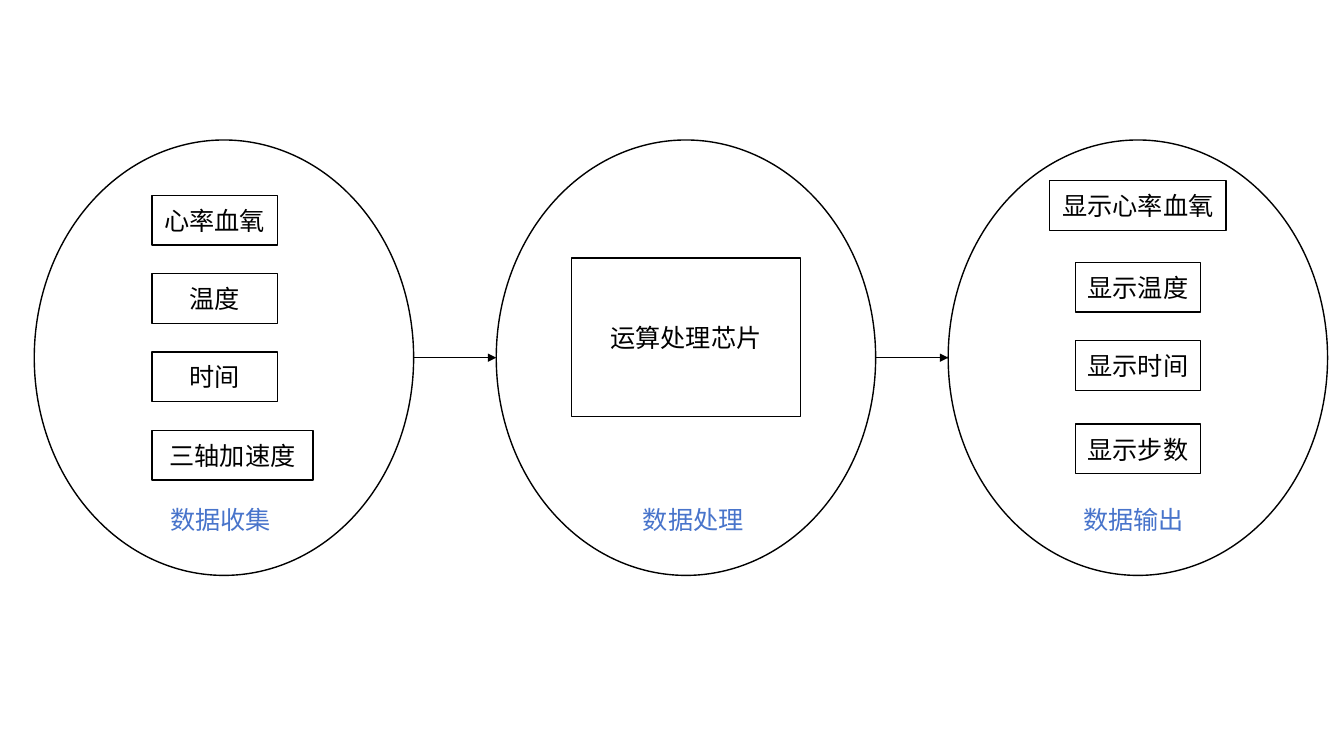
from pptx import Presentation
from pptx.dml.color import RGBColor
from pptx.enum import shapes, text
from pptx.oxml import parse_xml
from pptx.oxml.ns import nsdecls, qn
from pptx.util import Pt

# Content: each stage has its ellipse left, label and label left,
# then boxes as (text, top, width, height); "edge" aligns boxes left
STAGES = [
    dict(left=24.5, label="数据收集", at=114.5, edge=108.7, boxes=[
        ("心率血氧", 139.7, 89.4, 35.5),
        ("温度", 195.6, 89.4, 35.5),
        ("时间", 251.5, 89.4, 35.5),
        ("三轴加速度", 307.4, 114.8, 35.5)]),
    dict(left=354.5, label="数据处理", at=452.2, edge=None, boxes=[
        ("运算处理芯片", 184.3, 163.5, 113.2)]),
    dict(left=677.3, label="数据输出", at=766.6, edge=None, boxes=[
        ("显示心率血氧", 129, 126.2, 35.5),
        ("显示温度", 187.4, 89.4, 35.5),
        ("显示时间", 243.4, 89.4, 35.5),
        ("显示步数", 303, 89.4, 35.5)]),
]
HEX = dict(ink="000000", label="4874CB")
FONT, SIZE = "Calibri", 18
OVAL_TOP, OVAL_W, OVAL_H = 100, 271, 311
LABEL_TOP, LABEL_W, LABEL_H = 357, 94, 29
MID = OVAL_TOP + OVAL_H / 2

deck = Presentation()
deck.slide_width, deck.slide_height = Pt(960), Pt(540)
slide = deck.slides.add_slide(deck.slide_layouts[6])
parts = slide.shapes


def color(name):
    return RGBColor.from_string(HEX[name])


def write(shape, words, ink="ink", align=text.PP_ALIGN.CENTER,
          anchor=text.MSO_ANCHOR.MIDDLE):
    frame = shape.text_frame
    frame.word_wrap = True
    frame.vertical_anchor = anchor
    para = frame.paragraphs[0]
    para.alignment = align
    run = para.add_run()
    run.text = words
    run.font.name, run.font.size = FONT, Pt(SIZE)
    run.font.color.rgb = color(ink)


def outline(kind, left, top, width, height):
    shape = parts.add_shape(kind, Pt(left), Pt(top), Pt(width), Pt(height))
    shape.shadow.inherit = False
    shape.fill.background()
    shape.line.color.rgb = color("ink")
    shape.line.width = Pt(1)
    return shape


def arrow(start, end):
    line = parts.add_connector(shapes.MSO_CONNECTOR.STRAIGHT,
                               Pt(start), Pt(MID), Pt(end), Pt(MID))
    line.line.color.rgb = color("ink")
    line.line.width = Pt(1)
    props = line._element.spPr
    props.find(qn("a:ln")).append(
        parse_xml(f'<a:tailEnd {nsdecls("a")} type="triangle"/>'))
    props.append(parse_xml(f'<a:effectLst {nsdecls("a")}/>'))


# Stages: ellipse, boxes and label
for stage in STAGES:
    outline(shapes.MSO_SHAPE.OVAL, stage["left"], OVAL_TOP, OVAL_W, OVAL_H)
    center = stage["left"] + OVAL_W / 2
    for words, top, width, height in stage["boxes"]:
        left = stage["edge"] or center - width / 2
        box = outline(shapes.MSO_SHAPE.RECTANGLE, left, top, width, height)
        write(box, words)
    label = parts.add_textbox(Pt(stage["at"]), Pt(LABEL_TOP),
                              Pt(LABEL_W), Pt(LABEL_H))
    write(label, stage["label"], ink="label", align=text.PP_ALIGN.LEFT,
          anchor=text.MSO_ANCHOR.TOP)

# Arrows from each stage to the next
for here, after in zip(STAGES, STAGES[1:]):
    arrow(here["left"] + OVAL_W, after["left"])

deck.save("out.pptx")
